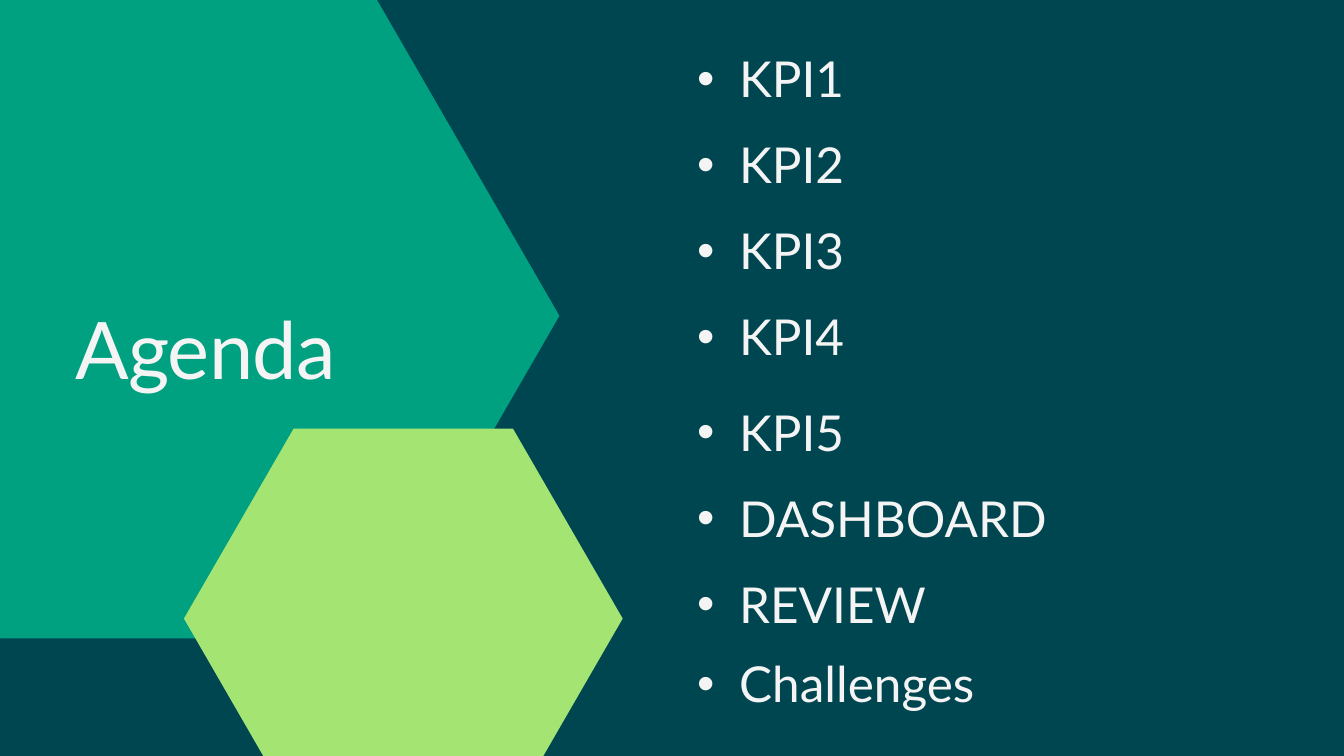
from dataclasses import dataclass
from pptx import Presentation
from pptx.dml.color import RGBColor
from pptx.enum import text
from pptx.util import Pt


@dataclass
class Theme:
    back: RGBColor = RGBColor.from_string("004651")
    green: RGBColor = RGBColor.from_string("00A181")
    lime: RGBColor = RGBColor.from_string("A4E473")
    ink: RGBColor = RGBColor.from_string("F4F4F4")
    face: str = "Lato"
    head: int = 85
    item: int = 53


theme = Theme()


def place(box, left, top, width, height):
    box.left, box.top = Pt(left), Pt(top)
    box.width, box.height = Pt(width), Pt(height)
    frame = box.text_frame
    frame.margin_left = frame.margin_right = 0
    frame.margin_top = frame.margin_bottom = 0
    frame.word_wrap = True
    frame.auto_size = text.MSO_AUTO_SIZE.NONE
    frame.vertical_anchor = text.MSO_ANCHOR.TOP
    return frame


def style(para, size, line):
    para.alignment = text.PP_ALIGN.LEFT
    para.line_spacing = Pt(line)
    para.font.name = theme.face
    para.font.size = Pt(size)
    para.font.color.rgb = theme.ink


deck = Presentation()
deck.slide_width, deck.slide_height = Pt(1440), Pt(810)
slide = deck.slides.add_slide(deck.slide_layouts[1])
slide.background.fill.solid()
slide.background.fill.fore_color.rgb = theme.back
title, body = slide.placeholders

hexes = [
    (-198.9, -7.2, 798.3, 691.2, theme.green),
    (197.1, 459.3, 470.1, 407, theme.lime),
]
for left, top, width, height, color in hexes:
    right, low, mid = left + width, top + height, top + height / 2
    near, far = left + width / 4, right - width / 4
    points = [(far, low), (near, low), (left, mid), (near, top), (far, top)]
    path = slide.shapes.build_freeform(Pt(right), Pt(mid))
    path.add_line_segments([(Pt(x), Pt(y)) for x, y in points])
    shape = path.convert_to_shape()
    shape.shadow.inherit = False
    shape.fill.solid()
    shape.fill.fore_color.rgb = color
    shape.line.fill.background()
    title.element.addprevious(shape.element)

frame = place(title, 80.6, 321.1, 351.4, 101.5)
frame.text = "Agenda"
style(frame.paragraphs[0], theme.head, 102)
frame.paragraphs[0].runs[0].font._element.set("spc", "-80")

items = [
    ("KPI1", 0),
    ("KPI2", 18),
    ("KPI3", 18),
    ("KPI4", 18),
    ("KPI5", 28),
    ("DASHBOARD", 18),
    ("REVIEW", 18),
    ("Challenges", 10.8),
]
frame = place(body, 702, 41, 481, 720)
frame.text = "\n".join(name for name, gap in items)
for para, (name, gap) in zip(frame.paragraphs, items):
    props = para._p.get_or_add_pPr()
    props.set("marL", str(Pt(90)))
    props.set("indent", str(-Pt(45)))
    para.space_before = Pt(gap)
    style(para, theme.item, 74.2)

deck.save("out.pptx")
